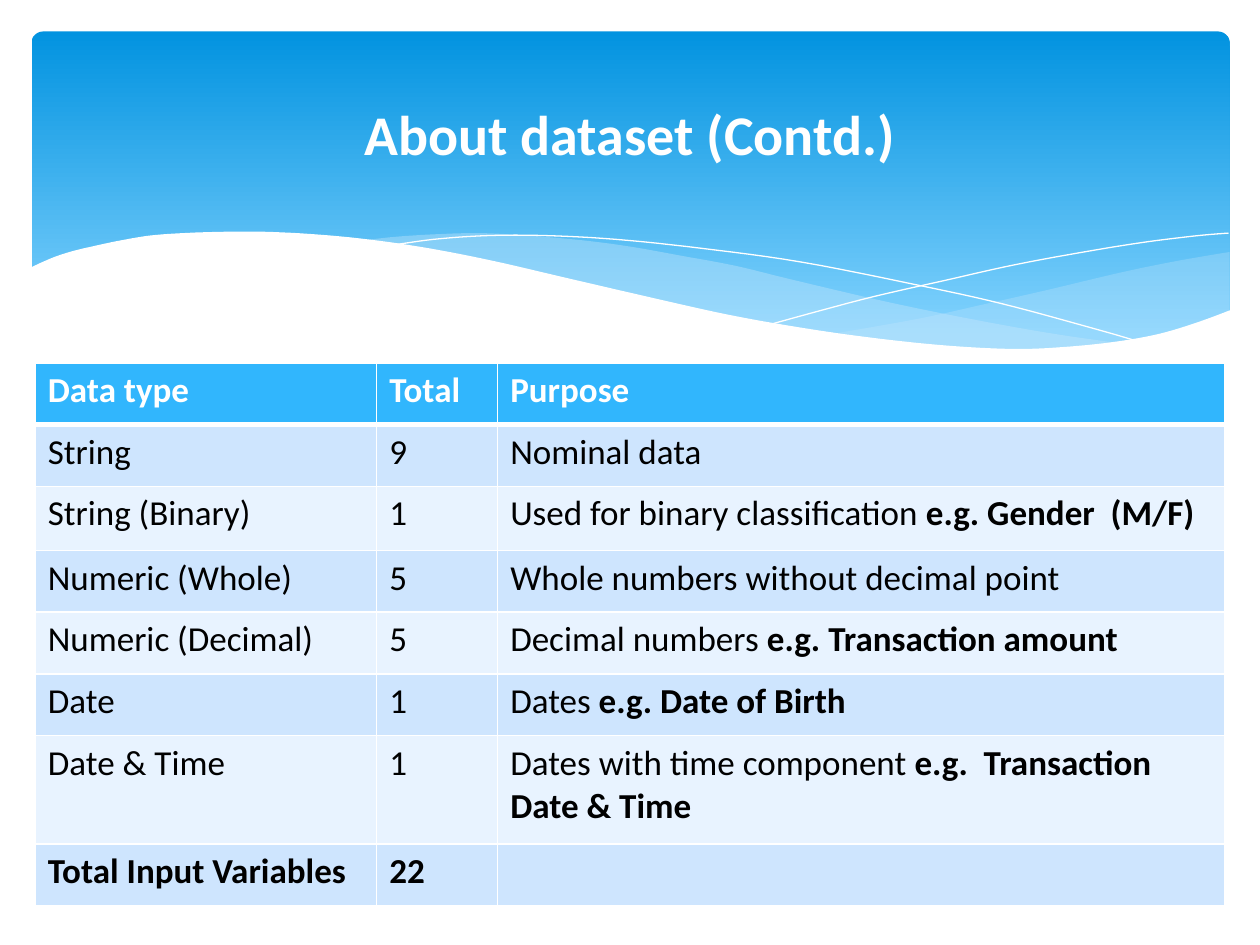
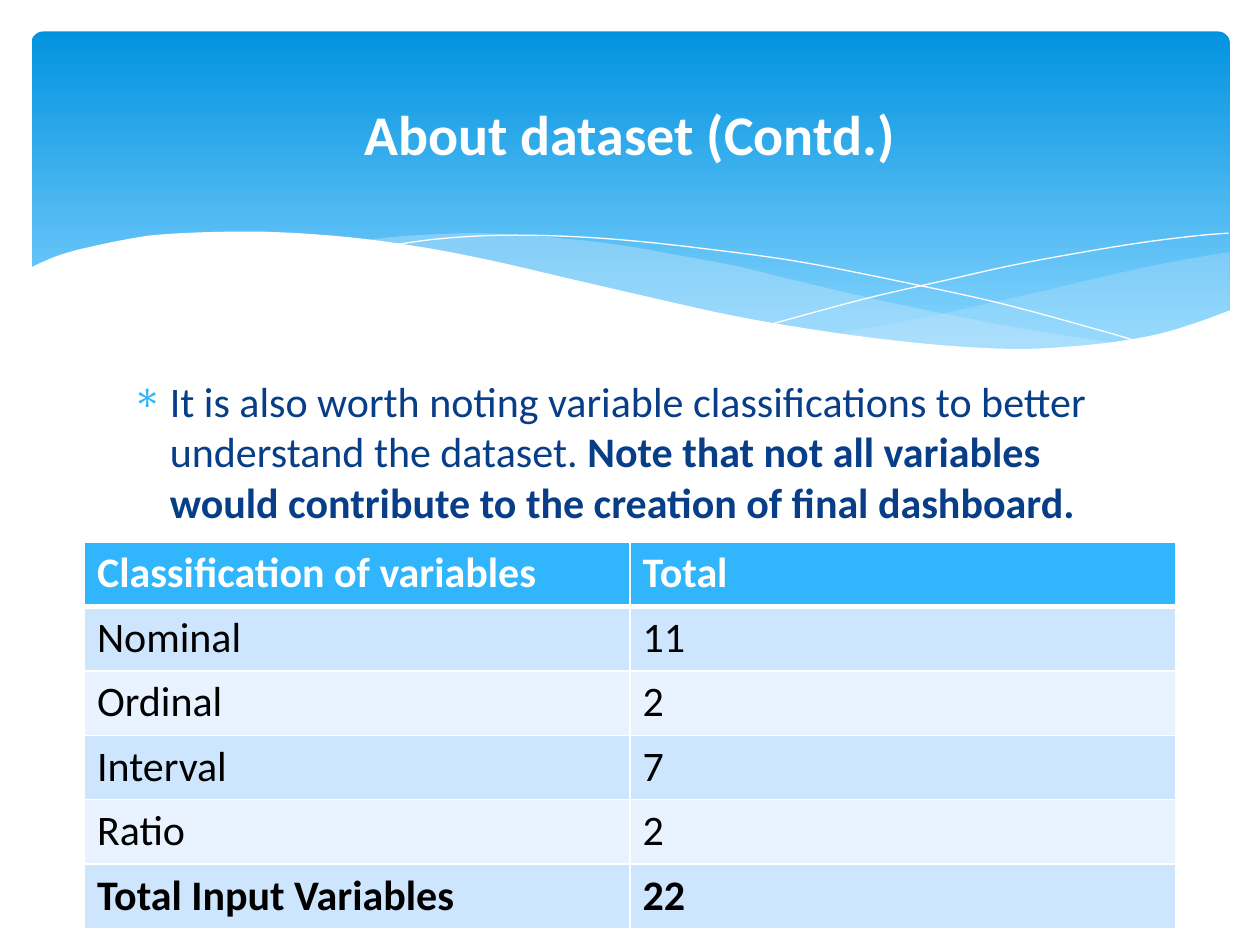
"""Build two dataset slides with a shared wave banner, title style and table style."""
from dataclasses import dataclass

import pptx
import pptx.util
import pptx.dml.color
import pptx.enum.shapes
import pptx.enum.text
import pptx.oxml
import pptx.oxml.ns

RGBColor = pptx.dml.color.RGBColor
Pt = pptx.util.Pt
Point = tuple[float, float]

WHITE = RGBColor(0xFF, 0xFF, 0xFF)
BLACK = RGBColor(0x00, 0x00, 0x00)
BAND_TOP = RGBColor(0x02, 0x93, 0xE0)
BAND_BOTTOM = RGBColor(0x83, 0xD3, 0xFE)
WAVE_BLUE = RGBColor(0xC6, 0xE7, 0xFC)
HEADER_BLUE = RGBColor(0x31, 0xB6, 0xFD)
ROW_DARK = RGBColor(0xCE, 0xE5, 0xFE)
ROW_LIGHT = RGBColor(0xE8, 0xF3, 0xFF)
BODY_BLUE = RGBColor(0x07, 0x3E, 0x87)

FONT = "Calibri"
SLIDE_W, SLIDE_H = pptx.util.Inches(10), pptx.util.Inches(7.5)
COLS, ROWS = 100, 75
CURVE_STEPS = 6


@dataclass(frozen=True)
class Box:
    """Area on the slide grid."""
    col: float
    row: float
    cols: float
    rows: float

    def emu(self) -> tuple[int, int, int, int]:
        """Return left, top, width and height."""
        return x(self.col), y(self.row), x(self.cols), y(self.rows)


@dataclass(frozen=True)
class Wave:
    """Outline of smooth curves, filled with an opacity or drawn as a line."""
    curves: tuple[tuple[Point, ...], ...]
    fill: RGBColor | None = None
    opacity: int = 100


@dataclass(frozen=True)
class TableSpec:
    """Table whose cells read plain|bold."""
    col: float
    row: float
    col_widths: tuple[float, ...]
    row_heights: tuple[float, ...]
    size: int
    cells: tuple[tuple[str, ...], ...]


BAND = Box(2.5, 2.5, 95.1, 27)
TITLE = Box(5, 3.7, 90, 13.7)
BODY = Box(9.5, 29.3, 81, 13)

WAVES = (
    Wave((
        ((97.6, 20), (93.5, 20.7), (89.1, 21.6), (83.2, 23), (77.9, 24.2),
         (72.9, 25.3), (66.1, 26.5)),
        ((66.1, 26.5), (70.5, 27.1), (74.5, 27.5), (78.1, 27.7), (81.4, 27.8),
         (85.4, 27.6), (88.9, 27.2), (92.1, 26.5), (94.9, 25.7), (97.6, 24.7)),
    ), WAVE_BLUE, 29),
    Wave((
        ((89.3, 27.3), (83.7, 26.5), (77.5, 25.4), (70.6, 24), (62.9, 22.2),
         (58.4, 21.1), (54.1, 20.3), (50.2, 19.6), (46.5, 19.1), (42, 18.7),
         (38, 18.5), (34.4, 18.6), (31.3, 18.8), (28.6, 19.1)),
        ((28.6, 19.1), (34.2, 19.9), (40.4, 21.1), (44.9, 22.2), (53, 24),
         (60.1, 25.5), (66.5, 26.6), (72.2, 27.4), (77.3, 27.7),
         (81.8, 27.8), (85.7, 27.7), (89.3, 27.3)),
    ), WAVE_BLUE, 40),
    Wave((
        ((30.9, 19.5), (34.4, 19), (38.7, 18.7), (43.3, 18.7), (48.9, 19),
         (55.6, 19.7), (63.6, 20.8), (72.7, 22.6), (79.5, 24.1),
         (86.9, 26.1), (90.7, 27.2)),
    )),
    Wave((
        ((61.3, 25.7), (65.3, 24.6), (69.5, 23.5), (74.8, 22.3), (80.6, 21),
         (86.6, 19.9), (91, 19.2), (95.1, 18.7), (97.5, 18.5)),
    )),
    Wave((
        ((97.7, 24.6), (95, 25.6), (92, 26.5), (88.7, 27.1), (85, 27.5),
         (80.9, 27.7), (76.1, 27.5), (70.8, 27), (64.8, 26.2), (57.9, 25),
         (50.3, 23.3), (44.7, 22), (39.1, 20.7), (34, 19.7), (29.2, 19),
         (25, 18.6), (21.1, 18.4), (17.7, 18.4), (14.6, 18.5), (11.9, 18.7),
         (9.5, 19.1), (7.6, 19.5), (5.9, 19.9), (4.6, 20.3), (3.6, 20.7),
         (2.3, 21.3)),
        ((2.3, 32.9), (97.7, 32.9)),
    ), WHITE),
)

DATA_TYPES = TableSpec(
    2.8, 28.8, (27.1, 9.6, 57.7), (4.9, 4.9, 5.1, 4.9, 4.9, 4.9, 8.6, 4.9), 20,
    (
        ("|Data type", "|Total", "|Purpose"),
        ("String", "9", "Nominal data"),
        ("String (Binary)", "1",
         "Used for binary classification |e.g. Gender  (M/F)"),
        ("Numeric (Whole)", "5", "Whole numbers without decimal point"),
        ("Numeric (Decimal)", "5", "Decimal numbers |e.g. Transaction amount"),
        ("Date", "1", "Dates |e.g. Date of Birth"),
        ("Date & Time", "1",
         "Dates with time component |e.g.  Transaction Date & Time"),
        ("|Total Input Variables", "|22", ""),
    ))

CLASSIFICATIONS = TableSpec(
    6.7, 43, (43.3,) * 2, (5.12,) * 6, 24,
    (
        ("|Classification of variables", "|Total"),
        ("Nominal", "11"),
        ("Ordinal", "2"),
        ("Interval", "7"),
        ("Ratio", "2"),
        ("|Total Input Variables", "|22"),
    ))

NOTE = ("It is also worth noting variable classifications to better understand "
        "the dataset. |Note that not all variables would contribute to the "
        "creation of final dashboard.")


def x(cols: float) -> int:
    """Convert grid columns to a length."""
    return round(SLIDE_W * cols / COLS)


def y(rows: float) -> int:
    """Convert grid rows to a length."""
    return round(SLIDE_H * rows / ROWS)


def xml(markup: str):
    """Parse one drawing element, given without its namespace declaration."""
    tag, rest = markup[:-2].partition(" ")[::2] if markup.endswith("/>") else (markup, "")
    return pptx.oxml.parse_xml(f"{tag} {pptx.oxml.ns.nsdecls('a')} {rest}/>")


def smooth(points: tuple[Point, ...]) -> list[Point]:
    """Sample a Catmull-Rom curve through the points."""
    padded = (points[0], *points, points[-1])
    curve = [points[0]]
    for a, b, c, d in zip(padded, padded[1:], padded[2:], padded[3:]):
        for step in range(1, CURVE_STEPS + 1):
            t = step / CURVE_STEPS
            curve.append(tuple(
                q + 0.5 * t * (r - p + t * (2 * p - 5 * q + 4 * r - s
                                            + t * (3 * (q - r) + s - p)))
                for p, q, r, s in zip(a, b, c, d)))
    return curve


def add_wave(s, wave: Wave) -> None:
    """Draw one wave of the banner."""
    points = [(x(col), y(row)) for curve in wave.curves for col, row in smooth(curve)]
    builder = s.shapes.build_freeform(*points[0])
    builder.add_line_segments(points[1:], close=wave.fill is not None)
    sp = builder.convert_to_shape()
    sp.shadow.inherit = False
    if wave.fill is None:
        sp.fill.background()
        sp.line.color.rgb = WHITE
        sp.line.width = Pt(0)
        return
    sp.fill.solid()
    sp.fill.fore_color.rgb = wave.fill
    sp.line.fill.background()
    if wave.opacity < 100:
        color = sp._element.spPr.find(".//" + pptx.oxml.ns.qn("a:srgbClr"))
        color.append(xml(f'<a:alpha val="{wave.opacity * 1000}"/>'))


def add_banner(s) -> None:
    """Draw the gradient band and its waves."""
    sp = s.shapes.add_shape(
        pptx.enum.shapes.MSO_SHAPE.ROUNDED_RECTANGLE, *BAND.emu())
    sp.adjustments[0] = 0.034
    sp.shadow.inherit = False
    sp.line.fill.background()
    sp.fill.gradient()
    sp.fill.gradient_angle = 270
    stops = ((0, BAND_TOP), (0.9, BAND_BOTTOM))
    for stop, (position, color) in zip(sp.fill.gradient_stops, stops):
        stop.position = position
        stop.color.rgb = color
    for wave in WAVES:
        add_wave(s, wave)


def write(p, text: str, size: int, color: RGBColor) -> None:
    """Write plain|bold text into a paragraph."""
    p.font.name, p.font.size, p.font.color.rgb = FONT, Pt(size), color
    plain, _, bold = text.partition("|")
    if not (plain and bold):
        p.font.bold = bool(bold)
    for part, is_bold in ((plain, False), (bold, True)):
        if part:
            r = p.add_run()
            r.text = part
            if plain and bold:
                r.font.bold = is_bold


def add_text(s, box: Box, text: str, size: int, color: RGBColor):
    """Add a wrapped text box and return its frame."""
    tf = s.shapes.add_textbox(*box.emu()).text_frame
    tf.word_wrap = True
    write(tf.paragraphs[0], text, size, color)
    return tf


def add_title(s, text: str) -> None:
    """Add the centred slide title."""
    tf = add_text(s, TITLE, f"|{text}", 32, WHITE)
    tf.vertical_anchor = pptx.enum.text.MSO_ANCHOR.MIDDLE
    tf.paragraphs[0].alignment = pptx.enum.text.PP_ALIGN.CENTER


def add_note(s, text: str) -> None:
    """Add the bulleted body text."""
    p = add_text(s, BODY, text, 24, BODY_BLUE).paragraphs[0]
    p.space_before = Pt(5)
    pPr = p._p.get_or_add_pPr()
    pPr.set("marL", str(x(3)))
    pPr.set("indent", str(-x(3)))
    bullet_color = xml("<a:buClr/>")
    bullet_color.append(xml(f'<a:srgbClr val="{HEADER_BLUE}"/>'))
    at = pPr.index(pPr.find(pptx.oxml.ns.qn("a:defRPr")))
    pPr.insert(at, bullet_color)
    pPr.insert(at + 1, xml('<a:buChar char="∗"/>'))


def add_borders(cell, bottom: int) -> None:
    """Give a cell white borders with the given bottom width in points."""
    tcPr = cell._tc.get_or_add_tcPr()
    widths = {"L": 1, "R": 1, "T": 1, "B": bottom}
    for i, (side, width) in enumerate(widths.items()):
        line = xml(f'<a:ln{side} w="{Pt(width)}"/>')
        fill = xml("<a:solidFill/>")
        fill.append(xml(f'<a:srgbClr val="{WHITE}"/>'))
        line.append(fill)
        tcPr.insert(i, line)


def add_data_table(s, spec: TableSpec) -> None:
    """Add a table with a header row and alternating body rows."""
    box = Box(spec.col, spec.row, sum(spec.col_widths), sum(spec.row_heights))
    table = s.shapes.add_table(
        len(spec.row_heights), len(spec.col_widths), *box.emu()).table
    for column, width in zip(table.columns, spec.col_widths):
        column.width = x(width)
    for i, (row, height) in enumerate(zip(table.rows, spec.row_heights)):
        row.height = y(height)
        band = HEADER_BLUE if i == 0 else ROW_DARK if i % 2 else ROW_LIGHT
        for cell, text in zip(row.cells, spec.cells[i]):
            cell.fill.solid()
            cell.fill.fore_color.rgb = band
            add_borders(cell, 1 if i else 3)
            write(cell.text_frame.paragraphs[0], text, spec.size,
                  BLACK if i else WHITE)


def add_dataset_slide(prs, spec: TableSpec, note: str = "") -> None:
    """Add a slide with banner, title, optional note and table."""
    s = prs.slides.add_slide(prs.slide_layouts[6])
    add_banner(s)
    if note:
        add_note(s, note)
    add_title(s, "About dataset (Contd.)")
    add_data_table(s, spec)


def main() -> None:
    """Build and save the presentation."""
    prs = pptx.Presentation()
    prs.slide_width, prs.slide_height = SLIDE_W, SLIDE_H
    add_dataset_slide(prs, DATA_TYPES)
    add_dataset_slide(prs, CLASSIFICATIONS, NOTE)
    prs.save("out.pptx")


if __name__ == "__main__":
    main()
